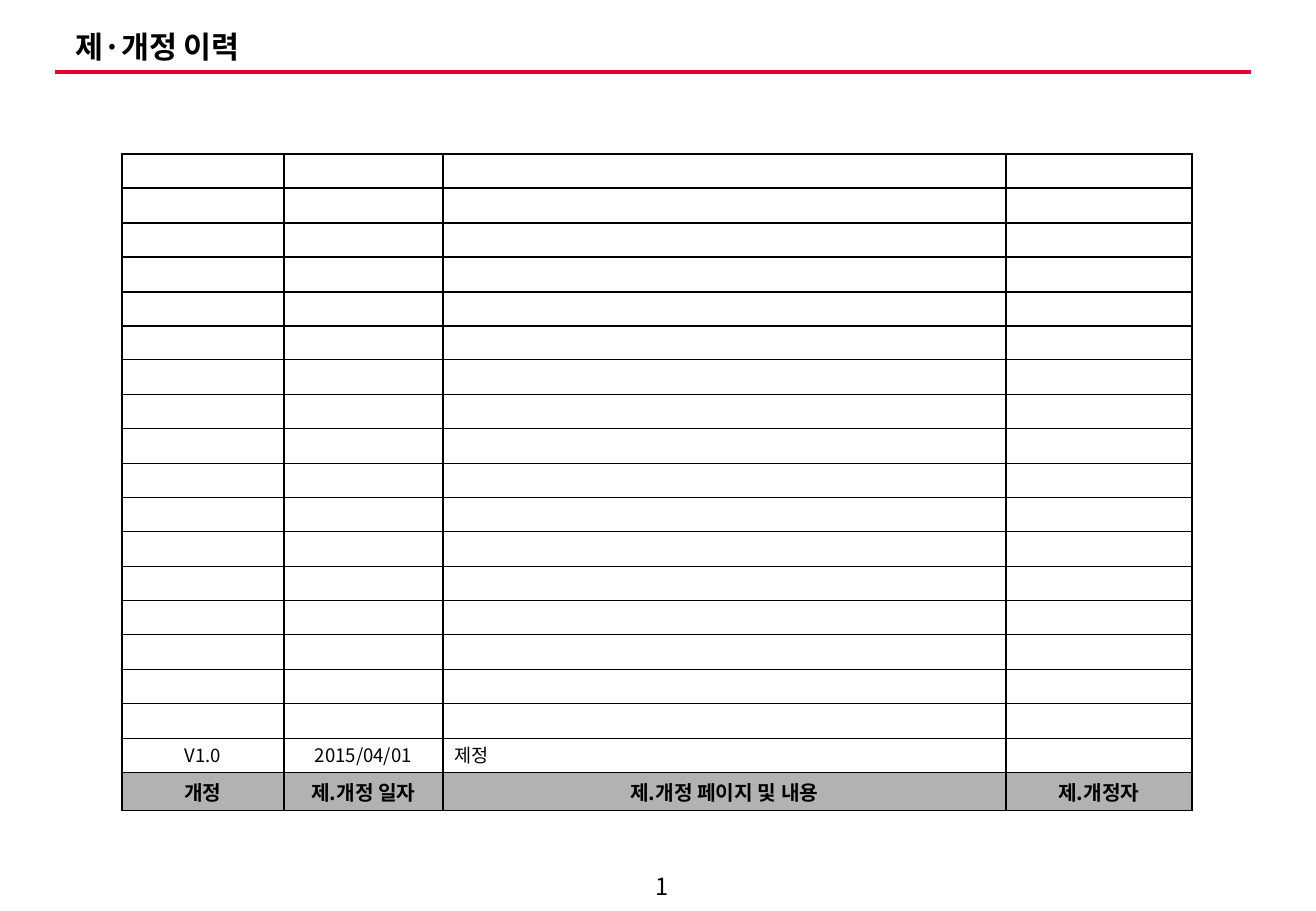
from dataclasses import dataclass
from itertools import pairwise

from lxml.etree import SubElement
from pptx import Presentation
from pptx.dml.color import RGBColor
from pptx.enum.shapes import MSO_CONNECTOR
from pptx.enum.text import MSO_ANCHOR, MSO_AUTO_SIZE, PP_ALIGN
from pptx.oxml.ns import qn
from pptx.util import Emu, Pt

FONT = "Noto Sans CJK KR"
BLACK, RED, GRAY = "000000", "EA002C", "B2B2B2"
COLUMN_WIDTHS = (162, 159, 563, 186)
TABLE_LEFT, TABLE_TOP = 122, 154
ENTRY_ROWS, ENTRIES_HEIGHT, HEADING_HEIGHT = 18, 619, 38


@dataclass(frozen=True)
class TextStyle:
    """Describes how a line of text looks."""

    size: int
    bold: bool = False
    align: PP_ALIGN = PP_ALIGN.CENTER
    spacing: float = 1.0


@dataclass(frozen=True)
class Entry:
    """Holds one filled cell of the revision table."""

    row: int
    column: int
    text: str
    style: TextStyle
    fill: str | None = None


TITLE = TextStyle(18, True, PP_ALIGN.LEFT, 0.9)
PAGE_NUMBER = TextStyle(14)
HEADING = TextStyle(12, True)
CENTERED = TextStyle(11, spacing=0.9)
DESCRIPTION = TextStyle(11, align=PP_ALIGN.LEFT, spacing=0.9)

ENTRIES = [
    Entry(17, 0, "V1.0", CENTERED),
    Entry(17, 1, "2015/04/01", CENTERED),
    Entry(17, 2, "제정", DESCRIPTION),
] + [
    Entry(18, column, text, HEADING, GRAY)
    for column, text in enumerate(
        ("개정", "제.개정 일자", "제.개정 페이지 및 내용", "제.개정자")
    )
]


def px(pixels: int) -> Emu:
    """Turns pixels into EMU."""
    return Emu(round(pixels * 914400 / 121.5))


def color(value: str) -> RGBColor:
    """Turns a hex string into a colour."""
    return RGBColor.from_string(value)


def write(frame, text: str, style: TextStyle) -> None:
    """Writes one styled run into the first paragraph of a frame."""
    paragraph = frame.paragraphs[0]
    paragraph.alignment = style.align
    paragraph.line_spacing = style.spacing
    run = paragraph.add_run()
    run.text = text
    run.font.size = Pt(style.size)
    run.font.bold = style.bold
    run.font.color.rgb = color(BLACK)
    run.font.name = FONT
    SubElement(run._r.get_or_add_rPr(), qn("a:ea"), typeface=FONT)


def add_title(slide, text: str) -> None:
    """Places and fills the title placeholder."""
    title = slide.shapes.title
    title.left, title.top, title.width, title.height = map(px, (63, 26, 1191, 45))
    frame = title.text_frame
    frame.auto_size = MSO_AUTO_SIZE.NONE
    frame.vertical_anchor = MSO_ANCHOR.MIDDLE
    write(frame, text, TITLE)


def add_rule(slide) -> None:
    """Draws the red line below the title."""
    rule = slide.shapes.add_connector(
        MSO_CONNECTOR.STRAIGHT, *map(px, (55, 72, 1251, 72))
    )
    rule.line.color.rgb = color(RED)
    rule.line.width = Pt(2.25)
    SubElement(rule._element.spPr, qn("a:effectLst"))


def add_page_number(slide, text: str) -> None:
    """Adds the page number at the bottom."""
    box = slide.shapes.add_textbox(*map(px, (619, 867, 87, 38)))
    frame = box.text_frame
    frame.word_wrap = True
    frame.vertical_anchor = MSO_ANCHOR.MIDDLE
    write(frame, text, PAGE_NUMBER)


def format_cell(cell, entry: Entry | None) -> None:
    """Sets the borders, fill and text of a table cell."""
    properties = cell._tc.get_or_add_tcPr()
    for side in ("lnL", "lnR", "lnT", "lnB"):
        border = SubElement(properties, qn(f"a:{side}"), w=str(Pt(1)))
        fill = SubElement(border, qn("a:solidFill"))
        SubElement(fill, qn("a:srgbClr"), val=BLACK)
    cell.vertical_anchor = MSO_ANCHOR.MIDDLE
    cell.margin_left = cell.margin_right = px(12)
    cell.margin_top = cell.margin_bottom = px(2)
    if entry and entry.fill:
        cell.fill.solid()
        cell.fill.fore_color.rgb = color(entry.fill)
    else:
        cell.fill.background()
    if entry:
        write(cell.text_frame, entry.text, entry.style)
    else:
        SubElement(cell.text_frame.paragraphs[0]._p, qn("a:endParaRPr"), sz="1000")


def add_revision_table(slide) -> None:
    """Builds the revision table with its heading row at the bottom."""
    edges = [round(row * ENTRIES_HEIGHT / ENTRY_ROWS) for row in range(ENTRY_ROWS + 1)]
    heights = [bottom - top for top, bottom in pairwise(edges)] + [HEADING_HEIGHT]
    table = slide.shapes.add_table(
        len(heights),
        len(COLUMN_WIDTHS),
        *map(px, (TABLE_LEFT, TABLE_TOP, sum(COLUMN_WIDTHS), sum(heights))),
    ).table
    table.first_row = table.horz_banding = False
    for column, width in zip(table.columns, COLUMN_WIDTHS):
        column.width = px(width)
    filled = {(entry.row, entry.column): entry for entry in ENTRIES}
    for row_index, (row, height) in enumerate(zip(table.rows, heights)):
        row.height = px(height)
        for column_index, cell in enumerate(row.cells):
            format_cell(cell, filled.get((row_index, column_index)))


def main() -> None:
    """Builds and saves the revision history slide."""
    presentation = Presentation()
    presentation.slide_width, presentation.slide_height = px(1316), px(911)
    slide = presentation.slides.add_slide(presentation.slide_layouts[5])
    add_page_number(slide, "1")
    add_rule(slide)
    add_title(slide, "제\u0387개정 이력")
    add_revision_table(slide)
    presentation.save("out.pptx")


main()
